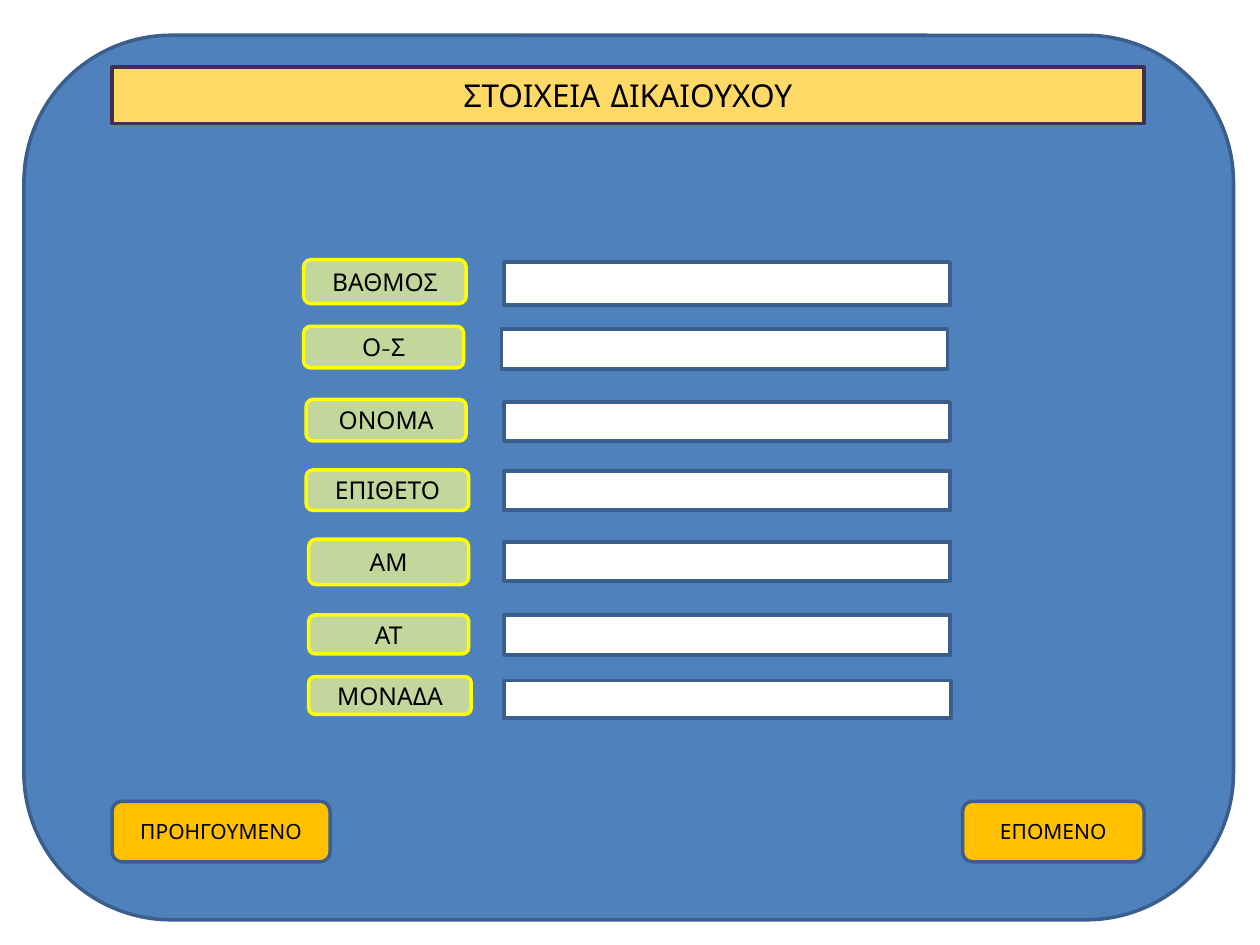
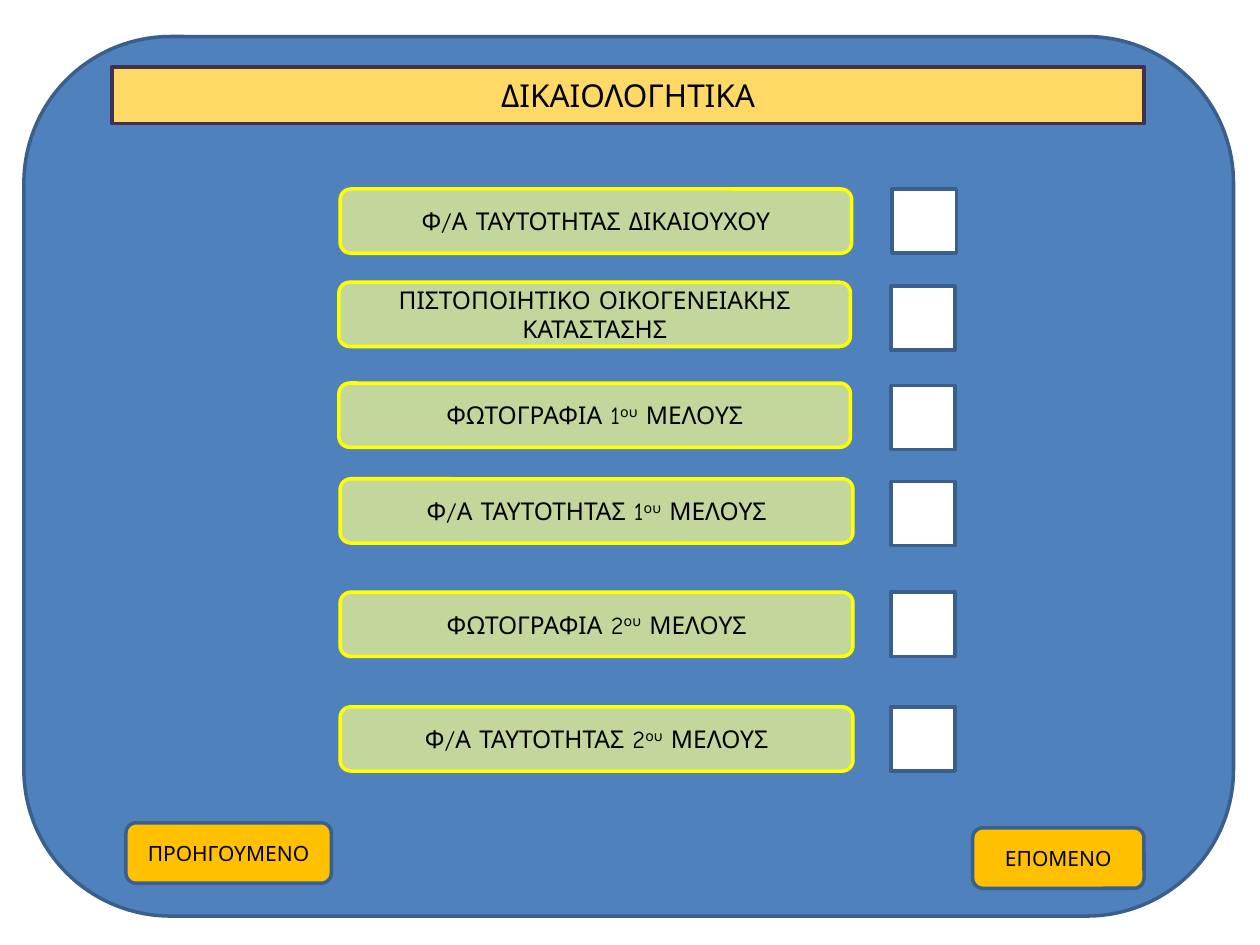
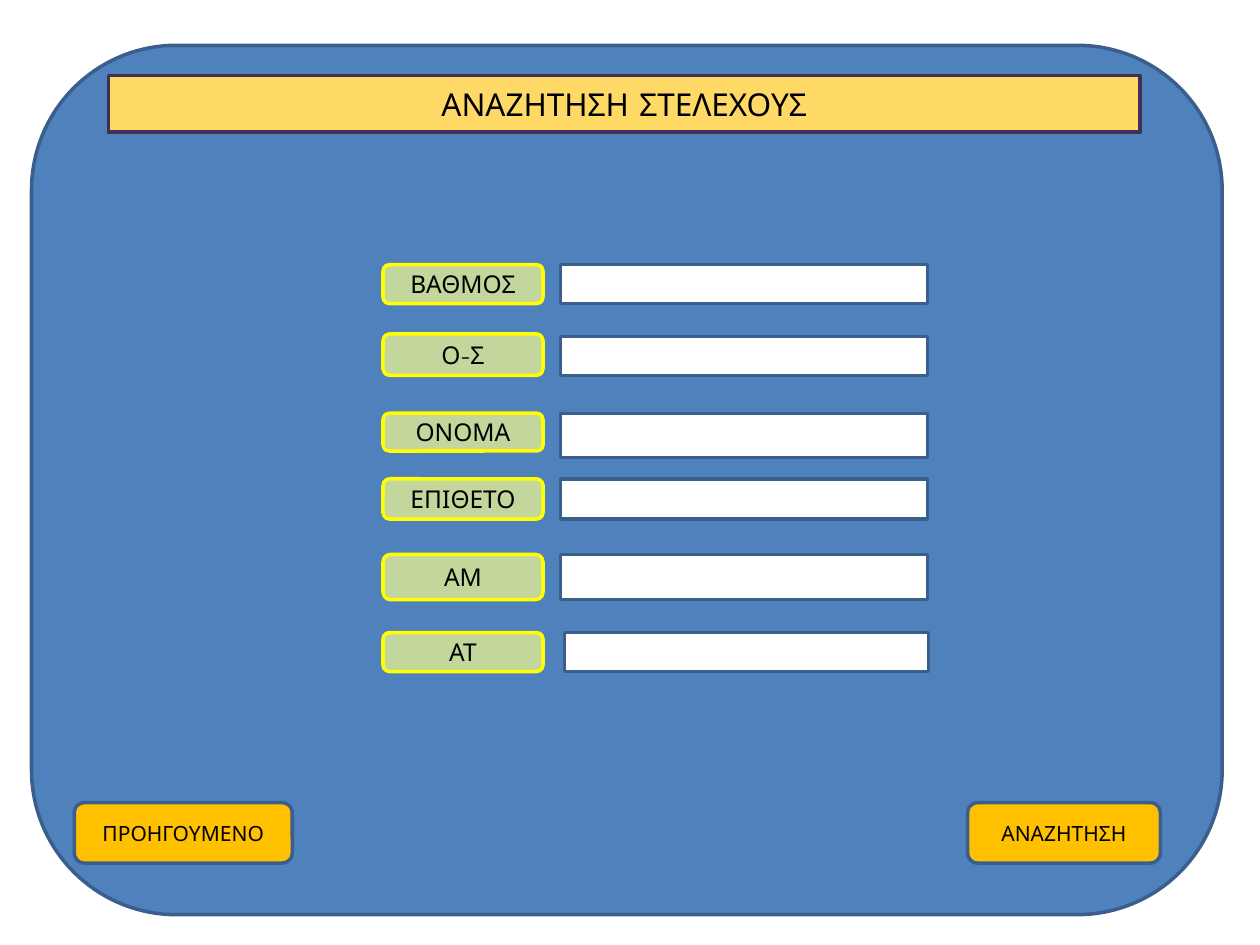
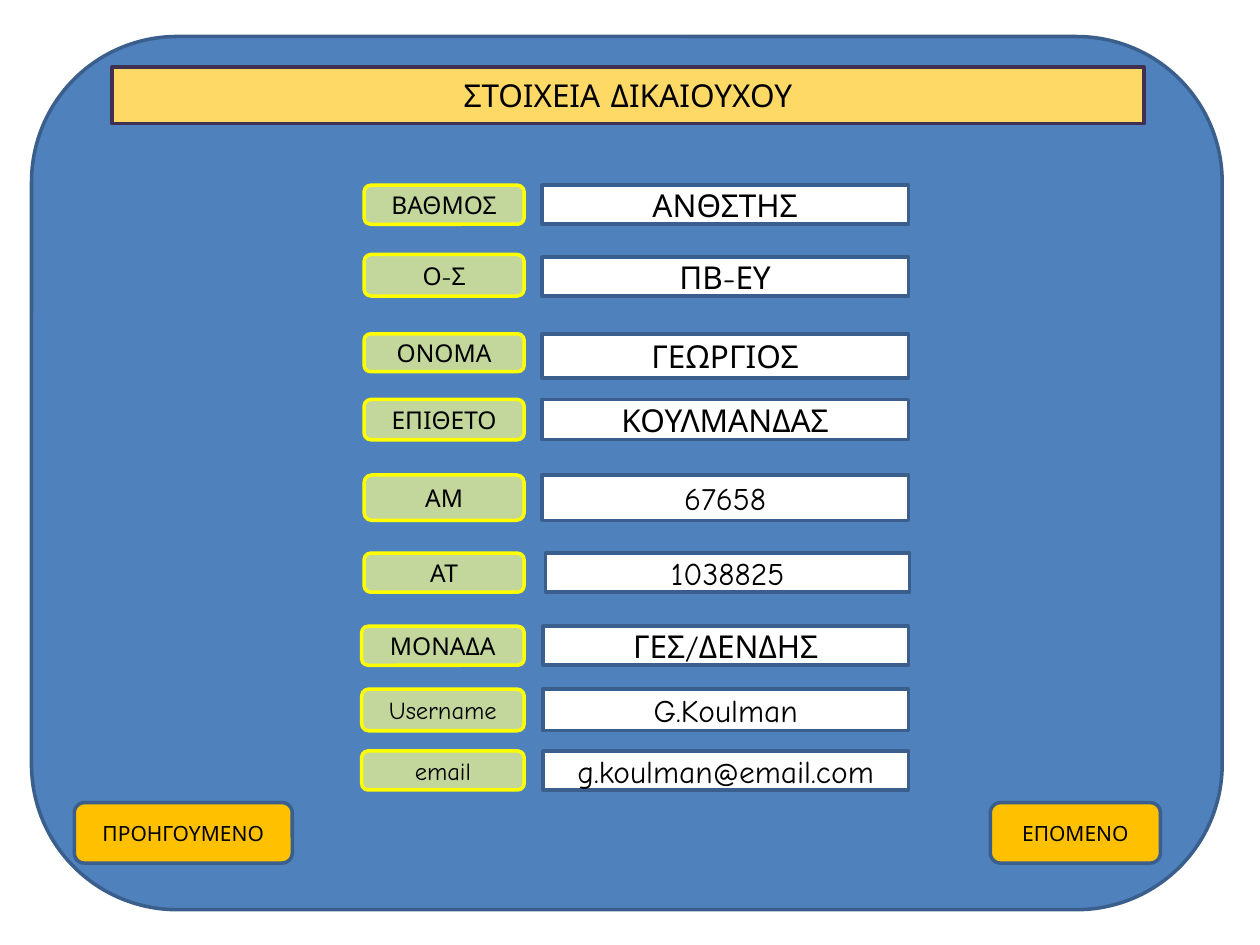
from dataclasses import dataclass

from pptx import Presentation
from pptx.dml.color import RGBColor
from pptx.enum.shapes import MSO_SHAPE
from pptx.enum.text import MSO_ANCHOR, PP_ALIGN
from pptx.util import Pt

RECT = MSO_SHAPE.RECTANGLE
ROUND = MSO_SHAPE.ROUNDED_RECTANGLE
CENTER = PP_ALIGN.CENTER
MIDDLE = MSO_ANCHOR.MIDDLE
EMU_PER_PX = 9144
BLANK = 6


@dataclass(frozen=True)
class Theme:
    font: str = "Comic Neue"
    text: str = "000000"
    outline: str = "3A5F8C"
    panel: str = "4F81BD"
    title: str = "FFD966"
    title_line: str = "403152"
    label: str = "C3D69B"
    label_line: str = "FFFF00"
    field: str = "FFFFFF"
    button: str = "FFC000"
    line_width: int = 2
    title_size: int = 18
    label_size: int = 14
    field_size: int = 18
    button_size: int = 12


THEME = Theme()

STYLES = {
    "panel": (ROUND, THEME.panel, THEME.outline, THEME.field_size),
    "title": (RECT, THEME.title, THEME.title_line, THEME.title_size),
    "label": (ROUND, THEME.label, THEME.label_line, THEME.label_size),
    "field": (RECT, THEME.field, THEME.outline, THEME.field_size),
    "button": (ROUND, THEME.button, THEME.outline, THEME.button_size),
}

TITLE_BOX = (89, 53, 819, 45)
BUTTON_H = 48
PREVIOUS = "ΠΡΟΗΓΟΥΜΕΝΟ"
NEXT = "ΕΠΟΜΕΝΟ"
CHECK_SIDE = 51

ENTRY_ROWS = [
    ("ΒΑΘΜΟΣ", "", (241, 206, 129, 35), (400, 208, 354, 34)),
    ("Ο-Σ", "", (241, 259, 127, 33), (398, 261, 354, 32)),
    ("ΟΝΟΜΑ", "", (243, 317, 127, 33), (400, 319, 354, 31)),
    ("ΕΠΙΘΕΤΟ", "", (243, 373, 129, 32), (400, 374, 354, 31)),
    ("ΑΜ", "", (245, 428, 127, 36), (400, 430, 354, 31)),
    ("ΑΤ", "", (245, 488, 127, 31), (400, 488, 354, 32)),
    ("ΜΟΝΑΔΑ", "", (245, 537, 129, 30), (400, 540, 355, 30)),
]

RECORD_ROWS = [
    ("ΒΑΘΜΟΣ", "ΑΝΘΣΤΗΣ", (289, 147, 127, 31), (430, 147, 291, 31)),
    ("Ο-Σ", "ΠΒ-ΕΥ", (289, 202, 127, 33), (430, 204, 291, 31)),
    ("ΟΝΟΜΑ", "ΓΕΩΡΓΙΟΣ", (289, 265, 127, 30), (430, 265, 291, 35)),
    ("ΕΠΙΘΕΤΟ", "ΚΟΥΛΜΑΝΔΑΣ", (289, 317, 127, 32), (430, 317, 291, 32)),
    ("ΑΜ", "67658", (289, 377, 127, 36), (430, 377, 291, 36)),
    ("ΑΤ", "1038825", (289, 439, 127, 31), (433, 439, 289, 31)),
    ("ΜΟΝΑΔΑ", "ΓΕΣ/ΔΕΝΔΗΣ", (287, 497, 129, 31), (431, 497, 290, 31)),
    ("Username", "G.Koulman", (287, 547, 129, 33), (431, 547, 290, 33)),
    ("email", "g.koulman@email.com", (287, 596, 129, 31), (431, 596, 290, 31)),
]

CHECKLIST = [
    ("Φ/Α ΤΑΥΤΟΤΗΤΑΣ ΔΙΚΑΙΟΥΧΟΥ", (270, 150, 406), (708, 150)),
    ("ΠΙΣΤΟΠΟΙΗΤΙΚΟ ΟΙΚΟΓΕΝΕΙΑΚΗΣ ΚΑΤΑΣΤΑΣΗΣ", (269, 224, 406), (707, 227)),
    ("ΦΩΤΟΓΡΑΦΙΑ 1^ου^ ΜΕΛΟΥΣ", (269, 304, 406), (707, 306)),
    ("Φ/Α ΤΑΥΤΟΤΗΤΑΣ 1^ου^ ΜΕΛΟΥΣ", (270, 380, 407), (707, 382)),
    ("ΦΩΤΟΓΡΑΦΙΑ 2^ου^ ΜΕΛΟΥΣ", (270, 470, 407), (707, 470)),
    ("Φ/Α ΤΑΥΤΟΤΗΤΑΣ 2^ου^ ΜΕΛΟΥΣ", (270, 561, 407), (707, 561)),
]


def px(n):
    return n * EMU_PER_PX


def rgb(value):
    return RGBColor.from_string(value)


def add_text(sp, text, size):
    tf = sp.text_frame
    for name, value in {"word_wrap": True, "vertical_anchor": MIDDLE}.items():
        setattr(tf, name, value)
    p = tf.paragraphs[0]
    p.alignment = CENTER
    for i, part in enumerate(text.split("^")):
        r = p.add_run()
        r.text = part
        for name, value in {"name": THEME.font, "size": Pt(size)}.items():
            setattr(r.font, name, value)
        r.font.color.rgb = rgb(THEME.text)
        if i % 2:
            r._r.get_or_add_rPr().set("baseline", "30000")


def add_box(s, style, box, text=""):
    kind, fill, line, size = STYLES[style]
    sp = s.shapes.add_shape(kind, *map(px, box))
    sp.shadow.inherit = False
    sp.fill.solid()
    sp.fill.fore_color.rgb = rgb(fill)
    sp.line.color.rgb = rgb(line)
    sp.line.width = Pt(THEME.line_width)
    if text:
        add_text(sp, text, size)


def add_screen(prs, title, panel, buttons, title_box=TITLE_BOX):
    s = prs.slides.add_slide(prs.slide_layouts[BLANK])
    add_box(s, "panel", panel)
    add_box(s, "title", title_box, title)
    for text, x, y, w in buttons:
        add_box(s, "button", (x, y, w, BUTTON_H), text)
    return s


def add_form(s, rows):
    for label, value, label_box, field_box in rows:
        add_box(s, "label", label_box, label)
        add_box(s, "field", field_box, value)


def add_checklist(s, items):
    for text, (x, y, w), check in items:
        add_box(s, "label", (x, y, w, CHECK_SIDE), text)
        add_box(s, "field", (*check, CHECK_SIDE, CHECK_SIDE))


def shifted(box, dx, dy):
    x, y, w, h = box
    return x + dx, y + dy, w, h


def empty_rows(rows, dx, dy):
    return [(label, "", shifted(label_box, dx, dy), shifted(field_box, dx, dy))
            for label, _, label_box, field_box in rows]


def main():
    prs = Presentation()
    prs.slide_width, prs.slide_height = px(1000), px(750)

    s = add_screen(prs, "ΣΤΟΙΧΕΙΑ ΔΙΚΑΙΟΥΧΟΥ", (19, 28, 960, 702),
                   [(PREVIOUS, 89, 636, 173), (NEXT, 764, 636, 144)])
    add_form(s, ENTRY_ROWS)

    s = add_screen(prs, "ΔΙΚΑΙΟΛΟΓΗΤΙΚΑ", (19, 29, 960, 698),
                   [(PREVIOUS, 100, 653, 163), (NEXT, 772, 657, 136)])
    add_checklist(s, CHECKLIST)

    s = add_screen(prs, "ΑΝΑΖΗΤΗΣΗ ΣΤΕΛΕΧΟΥΣ", (25, 36, 945, 690),
                   [(PREVIOUS, 59, 637, 173), ("ΑΝΑΖΗΤΗΣΗ", 768, 637, 153)],
                   shifted(TITLE_BOX, -3, 7))
    add_form(s, empty_rows(RECORD_ROWS[:6], 15, 63))

    s = add_screen(prs, "ΣΤΟΙΧΕΙΑ ΔΙΚΑΙΟΥΧΟΥ", (25, 29, 945, 693),
                   [(PREVIOUS, 59, 637, 173), (NEXT, 786, 637, 135)])
    add_form(s, RECORD_ROWS)

    prs.save("out.pptx")


if __name__ == "__main__":
    main()
